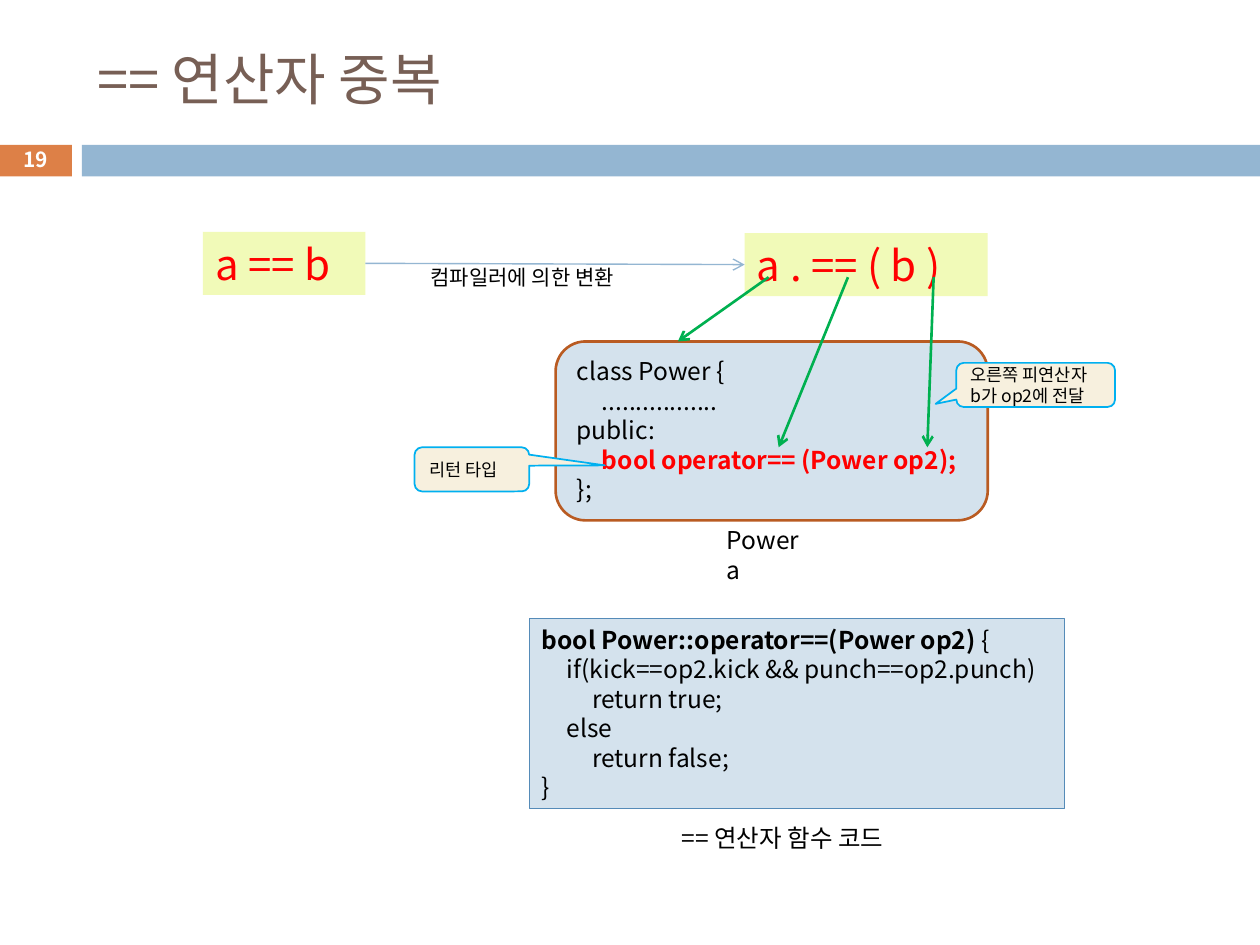
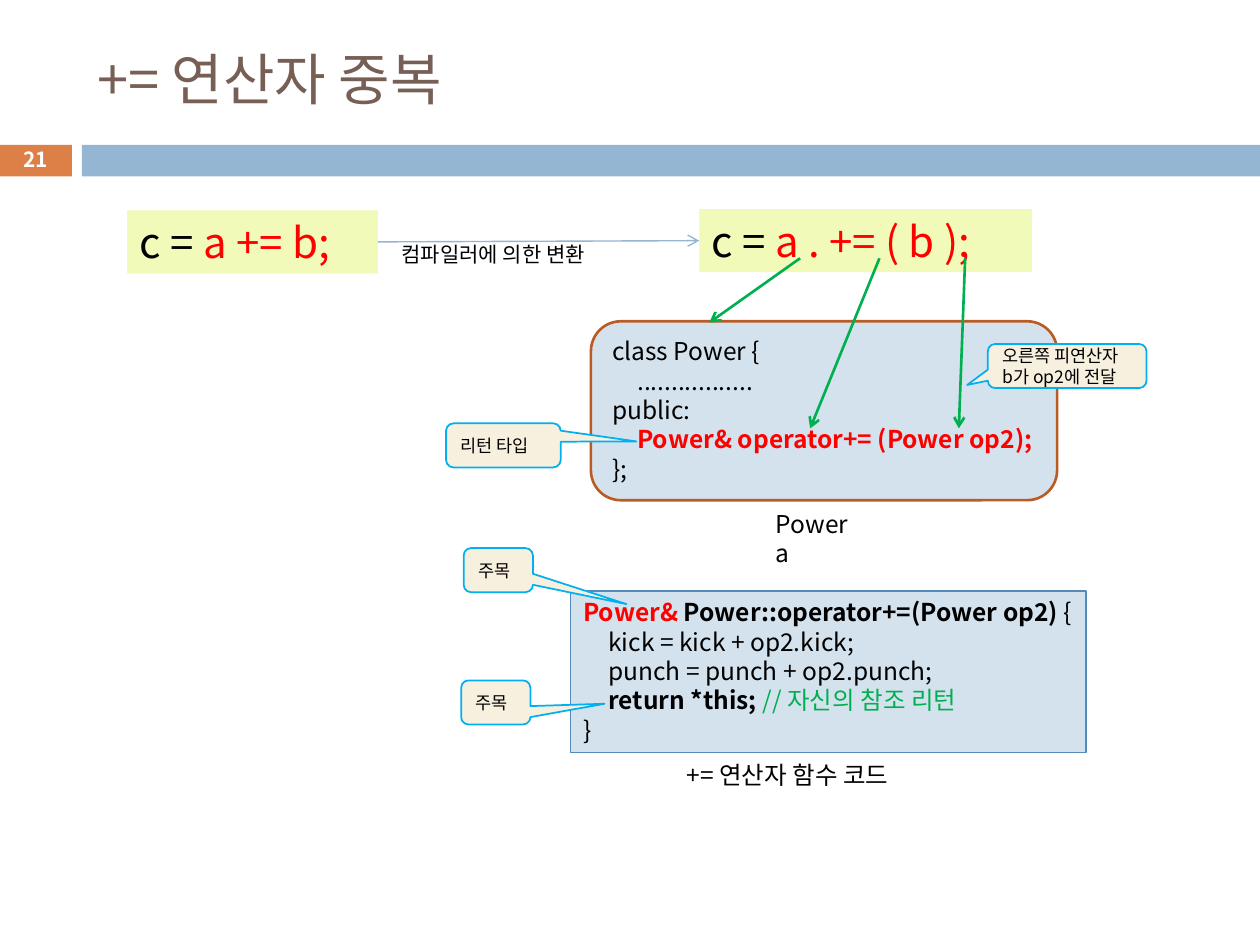
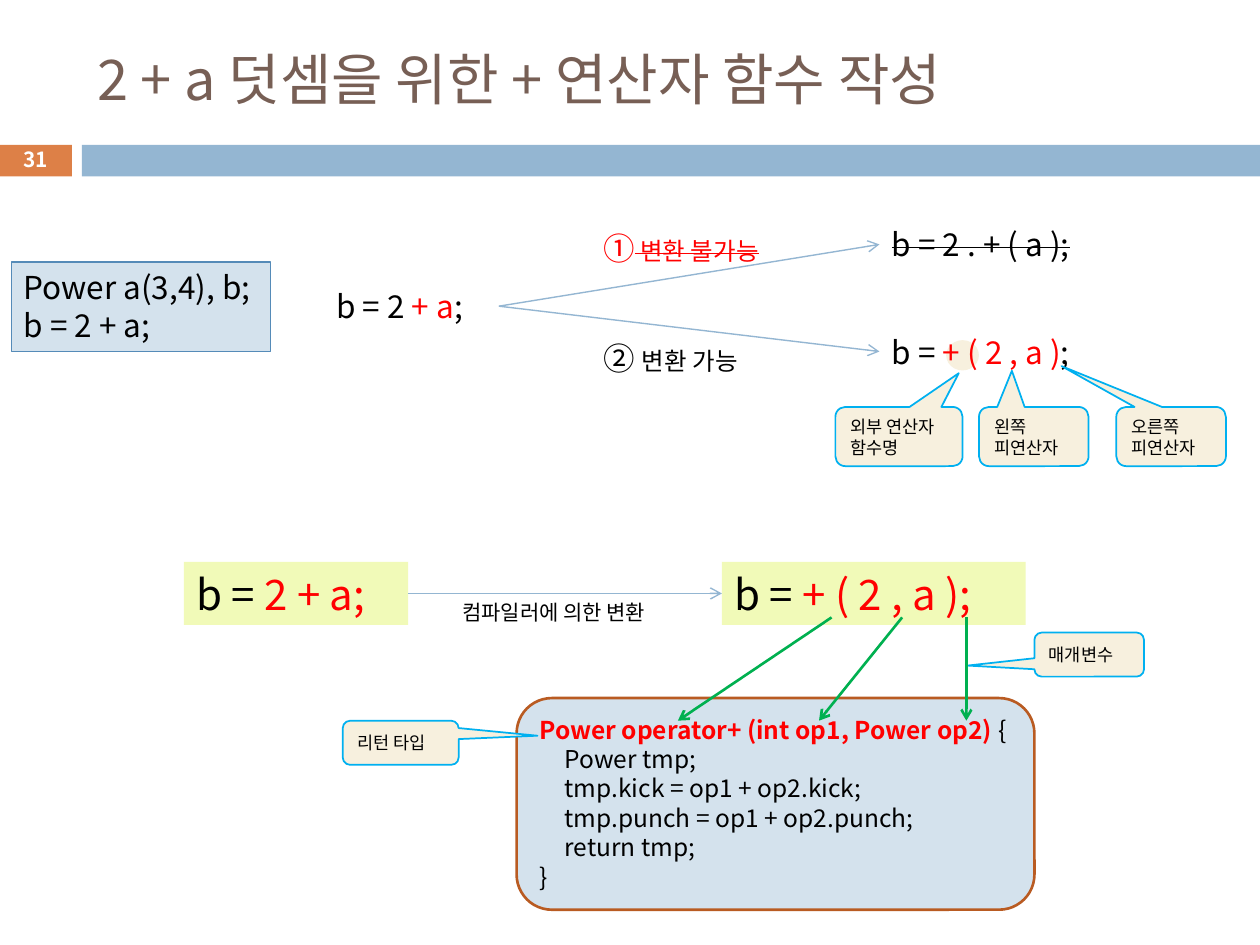
from lxml.etree import SubElement
from pptx import Presentation
from pptx.dml.color import RGBColor
from pptx.enum.shapes import MSO_CONNECTOR, MSO_SHAPE
from pptx.enum.text import MSO_ANCHOR, MSO_AUTO_SIZE, PP_ALIGN
from pptx.oxml.ns import qn
from pptx.util import Inches, Pt

FONT = "Noto Sans CJK KR"
BLACK, WHITE, RED, GREEN = "000000", "FFFFFF", "FF0000", "00B050"
BROWN, ORANGE, BLUE = "775F55", "DD8047", "94B6D2"
PALE, EDGE, RUST = "D4E2ED", "558BB8", "B95B22"
LIME, CREAM, SKY = "F1FAB8", "F7F0DE", "00B0F0"
MARKS = {"r": RED, "g": GREEN}


def color(code):
    return RGBColor.from_string(code)


class Deck:
    def __init__(self):
        self.show = Presentation()
        self.show.slide_width = Inches(10)
        self.show.slide_height = Inches(7.5)

    def page(self, title, number):
        self.slide = self.show.slides.add_slide(self.show.slide_layouts[5])
        self.shapes = self.slide.shapes
        self.shape(MSO_SHAPE.RECTANGLE, -0.01, 1.15, 0.58, 0.25, ORANGE)
        self.shape(MSO_SHAPE.RECTANGLE, 0.65, 1.15, 9.35, 0.25, BLUE)
        head = self.shapes.title
        head.left, head.top, head.width, head.height = map(Inches, (0.67, 0.25, 8.92, 0.74))
        self.label(head, [title], 32, BROWN, anchor=MSO_ANCHOR.MIDDLE)
        self.text(-0.01, 1.13, 0.58, 0.27, [[(number, "b")]], 11.9, WHITE,
                  MSO_ANCHOR.MIDDLE, PP_ALIGN.CENTER)

    def label(self, shape, lines, size, ink=BLACK, anchor=MSO_ANCHOR.TOP, align=PP_ALIGN.LEFT):
        frame = shape.text_frame
        frame.word_wrap = True
        frame.auto_size = MSO_AUTO_SIZE.NONE
        frame.vertical_anchor = anchor
        for index, line in enumerate(lines):
            para = frame.add_paragraph() if index else frame.paragraphs[0]
            para.alignment = align
            parts = [(line, "")] if isinstance(line, str) else line
            first = parts[0][0]
            depth = len(first) - len(first.lstrip("\t"))
            if depth:
                para._p.get_or_add_pPr().set("marL", str(Inches(0.2 * depth)))
            for words, marks in parts:
                run = para.add_run()
                run.text = words.lstrip("\t")
                self.style(run, marks, size, ink)

    def style(self, run, marks, size, ink):
        font = run.font
        font.name = FONT
        font.size = Pt(14 if "m" in marks else size)
        font.bold = "b" in marks
        font.color.rgb = color(next((MARKS[key] for key in marks if key in MARKS), ink))
        props = run._r.get_or_add_rPr()
        SubElement(props, qn("a:ea")).set("typeface", FONT)
        if "s" in marks:
            props.set("strike", "sngStrike")

    def shape(self, kind, x, y, w, h, fill, edge=None, weight=1):
        item = self.shapes.add_shape(kind, Inches(x), Inches(y), Inches(w), Inches(h))
        item.shadow.inherit = False
        item.fill.solid()
        item.fill.fore_color.rgb = color(fill)
        if edge:
            item.line.color.rgb = color(edge)
            item.line.width = Pt(weight)
        else:
            item.line.fill.background()
        return item

    def text(self, x, y, w, h, lines, size, *style):
        item = self.shapes.add_textbox(Inches(x), Inches(y), Inches(w), Inches(h))
        self.label(item, lines, size, *style)
        return item

    def code(self, x, y, w, h, lines, size=14):
        item = self.shape(MSO_SHAPE.RECTANGLE, x, y, w, h, PALE, EDGE, 0.75)
        self.label(item, lines, size)

    def panel(self, x, y, w, h, lines):
        item = self.shape(MSO_SHAPE.ROUNDED_RECTANGLE, x, y, w, h, PALE, RUST, 1.5)
        self.label(item, lines, 14)

    def term(self, x, y, w, line):
        item = self.shape(MSO_SHAPE.RECTANGLE, x, y, w, 0.5, LIME)
        self.label(item, [line], 24)
        return item

    def note(self, x, y, w, h, tip, *lines):
        item = self.shape(MSO_SHAPE.ROUNDED_RECTANGULAR_CALLOUT, x, y, w, h, CREAM, SKY)
        item.adjustments[0], item.adjustments[1] = tip
        self.label(item, lines, 10, anchor=MSO_ANCHOR.MIDDLE)

    def arrow(self, start, end, ink=GREEN, weight=1.5):
        item = self.shapes.add_connector(MSO_CONNECTOR.STRAIGHT, *map(Inches, start + end))
        item.line.color.rgb = color(ink)
        item.line.width = Pt(weight)
        SubElement(item.line._get_or_add_ln(), qn("a:tailEnd")).set("type", "arrow")
        SubElement(item._element.spPr, qn("a:effectLst"))
        return item

    def link(self, left, right):
        item = self.arrow((0, 0), (1, 1), BLUE, 0.79)
        item.begin_connect(left, 3)
        item.end_connect(right, 1)

    def change(self, left, right, x, y):
        self.link(self.term(*left), self.term(*right))
        self.text(x, y, 2.06, 0.3, ["컴파일러에 의한 변환"], 12)

    def member(self, x, y):
        for start, end in (((2.03, 0), (1.98, 1.35)), ((1.35, 0), (0.8, 1.35)),
                           ((0.72, 0), (0, 0.51))):
            self.arrow((x + start[0], y + start[1]), (x + end[0], y + end[1]))
        self.note(x + 2.21, y + 0.68, 1.26, 0.35, (-0.63, 0.43),
                  "오른쪽 피연산자", "b가 op2에 전달")


def body(line):
    return ["class Power {", "\t.................", "public:", [("\t" + line, "rb")], "};"]


def equal(deck):
    deck.page("== 연산자 중복", "19")
    deck.panel(4.41, 2.71, 3.43, 1.42, body("bool operator== (Power op2);"))
    deck.code(4.2, 4.91, 4.25, 1.51, [
        [("bool Power::operator==(Power op2) ", "b"), ("{", "")],
        "\tif(kick==op2.kick && punch==op2.punch)",
        "\t\treturn true;", "\telse", "\t\treturn false;", "}"])
    deck.change((1.61, 1.84, 1.29, [("a == b", "r")]),
                (5.91, 1.85, 1.93, [("a . == ( b )", "r")]), 3.32, 2.05)
    deck.text(5.67, 4.12, 0.91, 0.34, ["Power a"], 14)
    deck.member(5.38, 2.2)
    deck.note(3.29, 3.55, 0.91, 0.35, (1.16, -0.09), "리턴 타입")
    deck.text(5.31, 6.48, 2.05, 0.34, ["== 연산자 함수 코드"], 14)


def append(deck):
    deck.page("+= 연산자 중복", "21")
    deck.panel(4.69, 2.55, 3.7, 1.42, body("Power& operator+= (Power op2);"))
    deck.change((1.01, 1.67, 1.99, [("c = ", ""), ("a += b;", "r")]),
                (5.55, 1.66, 2.64, [("c = ", ""), ("a . += ( b );", "r")]), 3.09, 1.87)
    deck.code(4.53, 4.69, 4.09, 1.28, [
        [("Power& ", "rb"), ("Power::operator+=(Power op2) ", "b"), ("{", "")],
        "\tkick = kick + op2.kick;", "\tpunch = punch + op2.punch;",
        [("\treturn *this; ", "b"), ("// 자신의 참조 리턴", "g")], "}"])
    deck.text(6.06, 3.99, 0.91, 0.34, ["Power a"], 14)
    deck.member(5.63, 2.05)
    deck.note(3.54, 3.36, 0.91, 0.35, (1.16, -0.09), "리턴 타입")
    deck.text(5.35, 5.98, 2.05, 0.34, ["+= 연산자 함수 코드"], 14)
    deck.note(3.66, 5.4, 0.55, 0.35, (1.57, 0.03), "주목")
    deck.note(3.68, 4.35, 0.55, 0.35, (1.85, 0.77), "주목")


def add(deck):
    deck.page("2 + a 덧셈을 위한 + 연산자 함수 작성", "31")
    deck.shape(MSO_SHAPE.OVAL, 7.51, 2.7, 0.26, 0.24, CREAM)
    wrong = deck.text(6.98, 1.74, 1.81, 0.4, [[("b = 2 . + ( a );", "s")]], 18)
    root = deck.text(2.57, 2.23, 1.39, 0.4, [[("b = 2 ", ""), ("+ a", "r"), (";", "")]], 18)
    right = deck.text(6.98, 2.59, 1.94, 0.4,
                      [[("b = ", ""), ("+ ( 2 , a )", "r"), (";", "")]], 18)
    deck.link(root, wrong)
    deck.link(root, right)
    deck.text(4.69, 1.77, 1.54, 0.4, [[("①", "r"), (" 변환 불가능", "rsm")]], 18)
    deck.text(4.69, 2.64, 1.37, 0.4, [[("② ", ""), ("변환 가능", "m")]], 18)
    deck.note(6.63, 3.23, 1.01, 0.47, (0.47, -1.07), "외부 연산자 함수명")
    deck.note(7.77, 3.23, 0.87, 0.47, (-0.2, -1.11), "왼쪽", "피연산자")
    deck.note(8.86, 3.23, 0.87, 0.47, (-1, -1.19), "오른쪽", "피연산자")
    deck.code(0.09, 2.08, 2.06, 0.71, ["Power a(3,4), b;", "b = 2 + a;"], 18)
    deck.panel(4.1, 5.54, 4.11, 1.68, [
        [("Power operator+ (int op1, Power op2)", "rb"), (" {", "")],
        "\tPower tmp;", "\ttmp.kick = op1 + op2.kick;",
        "\ttmp.punch = op1 + op2.punch;", "\treturn tmp;", "}"])
    deck.change((1.46, 4.46, 1.78, [("b = ", ""), ("2 + a;", "r")]),
                (5.73, 4.46, 2.41, [("b = ", ""), ("+ ( 2 , a );", "r")]), 3.57, 4.71)
    deck.note(2.72, 5.72, 0.92, 0.35, (1.18, -0.16), "리턴 타입")
    deck.note(8.21, 5.02, 0.87, 0.35, (-1.11, 0.25), "매개변수")
    for start, end in ((6.6, 5.38), (7.16, 6.5), (7.67, 7.67)):
        deck.arrow((start, 4.9), (end, 5.72))


def main():
    deck = Deck()
    for build in (equal, append, add):
        build(deck)
    deck.show.save("out.pptx")


if __name__ == "__main__":
    main()
